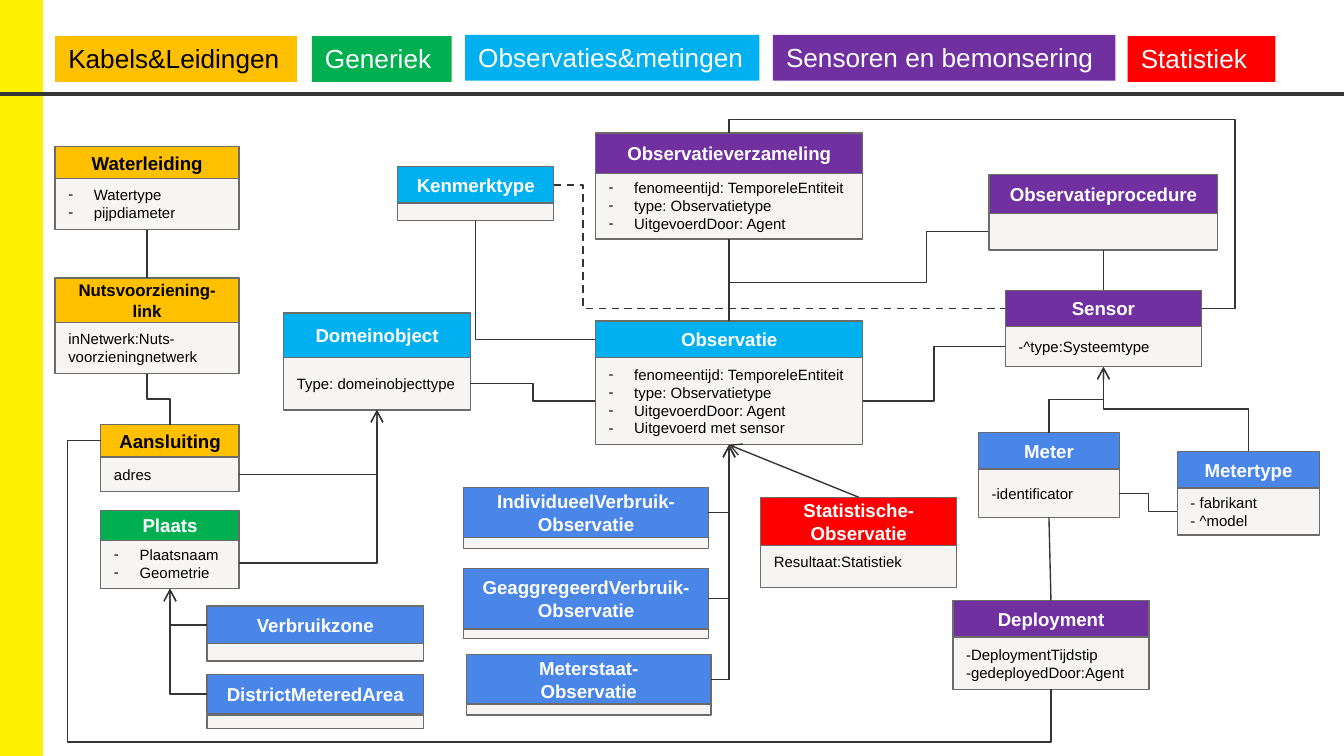
from lxml.etree import SubElement
from pptx import Presentation
from pptx.dml.color import RGBColor
from pptx.enum.dml import MSO_LINE
from pptx.enum.shapes import MSO_CONNECTOR, MSO_SHAPE
from pptx.enum.text import MSO_ANCHOR, PP_ALIGN
from pptx.oxml.ns import qn
from pptx.util import Inches, Pt

# The grid: 1000 columns of square cells on a 16:9 slide
COLS = 1000
ROWS = COLS * 9 / 16
CELL = Inches(10) // COLS

AMBER, GREEN, SKY, PURPLE, RED = "FFC000", "00B050", "00B0F0", "7030A0", "FF0000"
BLUE, YELLOW, PALE = "4A86E8", "FFF200", "F6F5F3"
BLACK, WHITE, GREY, DARK = "000000", "FFFFFF", "6B6B6B", "363535"
TOP, LEFT, LOW, RIGHT = range(4)

# Legend: text, left, top, width, fill
KEYS = [
    ("Kabels&Leidingen", 41, 27, 180, AMBER),
    ("Observaties&metingen", 346, 26, 219, SKY),
    ("Sensoren en bemonsering", 575, 26, 255, PURPLE),
    ("Statistiek", 839, 27, 110, RED),
    ("Generiek", 232, 27, 104, GREEN),
]

TIMES = ["fenomeentijd: TemporeleEntiteit", "type: Observatietype",
         "UitgevoerdDoor: Agent"]

# Classes: key, title, fill, left, width, head (top, height), body (top, height),
# body lines, bullets
NODES = [
    ("water", "Waterleiding", AMBER, 41, 137, (109, 24), (132, 39),
     ["Watertype", "pijpdiameter"], True),
    ("nuts", "Nutsvoorziening-link", AMBER, 41, 137, (207, 33), (239, 39),
     ["inNetwerk:Nuts-voorzieningnetwerk"], False),
    ("plaats", "Plaats", GREEN, 75, 103, (380, 22), (400, 38),
     ["Plaatsnaam", "Geometrie"], True),
    ("join", "Aansluiting", AMBER, 75, 103, (316, 24), (340, 26), ["adres"], False),
    ("domain", "Domeinobject", SKY, 211, 139, (233, 33), (266, 39),
     ["Type: domeinobjecttype"], False),
    ("zone", "Verbruikzone", BLUE, 154, 161, (451, 28), (478, 14), [], False),
    ("area", "DistrictMeteredArea", BLUE, 154, 161, (502, 29), (532, 10), [], False),
    ("obs", "Observatie", SKY, 443, 199, (239, 27), (266, 65),
     TIMES + ["Uitgevoerd met sensor"], True),
    ("set", "Observatieverzameling", PURPLE, 443, 199, (99, 30), (128, 50), TIMES, True),
    ("single", "IndividueelVerbruik-Observatie", BLUE, 345, 182, (363, 37), (393, 15),
     [], False),
    ("group", "GeaggregeerdVerbruik-Observatie", BLUE, 345, 182, (423, 45), (460, 15),
     [], False),
    ("state", "Meterstaat-\nObservatie", BLUE, 347, 182, (487, 37), (517, 15), [], False),
    ("sensor", "Sensor", PURPLE, 748, 146, (216, 27), (243, 30),
     ["-^type:Systeemtype"], False),
    ("proc", "Observatieprocedure", PURPLE, 736, 170, (130, 29), (159, 27), [], False),
    ("meter", "Meter", BLUE, 728, 105, (322, 27), (349, 36), ["-identificator"], False),
    ("type", "Metertype", BLUE, 876, 106, (336, 27), (363, 35),
     ["- fabrikant", "- ^model"], False),
    ("deploy", "Deployment", PURPLE, 709, 146, (447, 27), (474, 39),
     ["-DeploymentTijdstip", "-gedeployedDoor:Agent"], False),
    ("mark", "Kenmerktype", SKY, 296, 116, (124, 27), (151, 13), [], False),
    ("stat", "Statistische-Observatie", RED, 566, 146, (370, 36), (398, 39),
     ["Resultaat:Statistiek"], False),
]

# Straight links: from (class, part, side), to (class, part, side), arrow
STRAIGHT = [
    (("water", "body", LOW), ("nuts", "head", TOP), False),
    (("set", "body", LOW), ("obs", "head", TOP), False),
    (("proc", "body", LOW), ("sensor", "head", TOP), False),
    (("deploy", "head", TOP), ("meter", "body", LOW), False),
    (("stat", "head", TOP), ("obs", "body", LOW), True),
]

# Bent links: from, to, arrow, bends as shares of the span
BENT = [
    (("plaats", "body", RIGHT), ("domain", "body", LOW), True, ()),
    (("join", "body", RIGHT), ("domain", "body", LOW), True, ()),
    (("zone", "head", LEFT), ("plaats", "body", LOW), True, ()),
    (("area", "head", LEFT), ("plaats", "body", LOW), True, ()),
    (("single", "head", RIGHT), ("obs", "body", LOW), True, ()),
    (("group", "head", RIGHT), ("obs", "body", LOW), True, ()),
    (("state", "head", RIGHT), ("obs", "body", LOW), True, ()),
    (("set", "head", TOP), ("sensor", "head", RIGHT), False, (-0.078, 1.071)),
    (("meter", "head", TOP), ("sensor", "body", LOW), True, (0.5,)),
    (("type", "head", TOP), ("sensor", "body", LOW), True, (0.5,)),
    (("meter", "body", RIGHT), ("type", "body", LEFT), False, (0.5,)),
    (("join", "head", TOP), ("nuts", "body", LOW), False, (0.5,)),
    (("deploy", "body", LOW), ("join", "head", LEFT), False, (-0.211, 1.035)),
    (("obs", "head", LEFT), ("mark", "body", LOW), False, ()),
    (("obs", "body", RIGHT), ("sensor", "body", LEFT), False, (0.5,)),
    (("domain", "body", RIGHT), ("obs", "body", LEFT), False, (0.5,)),
]


def paint(tint):
    return RGBColor.from_string(tint)


def rect(slide, x, y, w, h, fill, edge=None, width=0.75):
    spot = (int(n * CELL) for n in (x, y, w, h))
    box = slide.shapes.add_shape(MSO_SHAPE.RECTANGLE, *spot)
    box.shadow.inherit = False
    box.fill.solid()
    box.fill.fore_color.rgb = paint(fill)
    if edge:
        box.line.color.rgb = paint(edge)
        box.line.width = Pt(width)
    else:
        box.line.fill.background()
    return box


def bullet(para):
    props = para._p.get_or_add_pPr()
    props.set("marL", str(19 * CELL))
    props.set("indent", str(-19 * CELL))
    SubElement(SubElement(props, qn("a:buClr")), qn("a:srgbClr")).set("val", BLACK)
    SubElement(props, qn("a:buFont")).set("typeface", "Arial")
    SubElement(props, qn("a:buChar")).set("char", "-")


def write(box, lines, size=8, tint=BLACK, bold=False, align=PP_ALIGN.LEFT,
          anchor=MSO_ANCHOR.MIDDLE, pad=10, dash=False):
    frame = box.text_frame
    frame.word_wrap = True
    frame.vertical_anchor = anchor
    frame.margin_left = frame.margin_right = 10 * CELL
    frame.margin_top = frame.margin_bottom = pad * CELL
    for i, line in enumerate(lines):
        para = frame.add_paragraph() if i else frame.paragraphs[0]
        if dash:
            bullet(para)
        para.alignment = align
        run = para.add_run()
        run.text = line
        font = run.font
        font.name, font.size, font.bold = "Arial", Pt(size), bold
        font.color.rgb = paint(tint)


def node(slide, title, fill, x, w, head, body, lines, dash):
    low = rect(slide, x, body[0], w, body[1], PALE, GREY)
    if lines:
        write(low, lines, dash=dash)
    top = rect(slide, x, head[0], w, head[1], fill, GREY)
    write(top, title.split("\n"), size=9 if title.startswith("Nuts") else 10, bold=True,
          tint=BLACK if fill == AMBER else WHITE, align=PP_ALIGN.CENTER)
    return {"head": top, "body": low}


def style(wire, width=0.75, arrow=False, dash=False):
    wire.line.color.rgb = paint(DARK)
    wire.line.width = Pt(width)
    if dash:
        wire.line.dash_style = MSO_LINE.DASH
    if arrow:
        SubElement(wire.line._get_or_add_ln(), qn("a:tailEnd")).set("type", "arrow")
    SubElement(wire._element.spPr, qn("a:effectLst"))


def link(slide, nodes, start, end, kind=MSO_CONNECTOR.STRAIGHT, **look):
    wire = slide.shapes.add_connector(kind, 0, 0, 0, 0)
    wire.begin_connect(nodes[start[0]][start[1]], start[2])
    wire.end_connect(nodes[end[0]][end[1]], end[2])
    style(wire, **look)
    return wire


def bend(slide, nodes, start, end, shares, **look):
    wire = link(slide, nodes, start, end, MSO_CONNECTOR.ELBOW, **look)
    x, y = wire.begin_x, wire.begin_y
    dx, dy = wire.end_x - x, wire.end_y - y
    w, h = abs(dx), abs(dy)
    # Turn the frame so that its first leg leaves the start side
    if start[2] in (LEFT, RIGHT):
        back = dx < 0 and dy < 0
        turn = 180 if back else 0
        flip = (dx < 0 and not back, dy < 0 and not back)
    else:
        w, h = h, w
        turn = 90 if start[2] == LOW or dx > 0 > dy else 270
        flip = (dy < 0, dx > 0) if turn == 90 else (dy > 0, dx < 0)
    wire.left, wire.top = int(x + (dx - w) / 2), int(y + (dy - h) / 2)
    wire.width, wire.height = w, h
    frame = wire._element.spPr.find(qn("a:xfrm"))
    frame.set("rot", str(turn * 60000))
    for name, on in zip(("flipH", "flipV"), flip):
        frame.set(name, str(int(on)))
    # Set the number of legs and where they break
    shape = wire._element.spPr.find(qn("a:prstGeom"))
    shape.set("prst", f"bentConnector{len(shares) + 2}")
    for i, share in enumerate(shares, 1):
        guide = SubElement(shape.find(qn("a:avLst")), qn("a:gd"))
        guide.set("name", f"adj{i}")
        guide.set("fmla", f"val {round(share * 100000)}")
    return wire


def main():
    deck = Presentation()
    deck.slide_width, deck.slide_height = COLS * CELL, int(ROWS * CELL)
    slide = deck.slides.add_slide(deck.slide_layouts[6])

    # Side bar
    bar = rect(slide, 0, 0, 31, ROWS, YELLOW, YELLOW, 1)

    # Classes
    nodes = {key: node(slide, *rest) for key, *rest in NODES}

    # Links, the first one behind the classes
    under = bend(slide, nodes, ("obs", "body", TOP), ("proc", "body", LEFT),
                 (0.595, 0.759))
    bar._element.addnext(under._element)
    for start, end, arrow in STRAIGHT:
        link(slide, nodes, start, end, arrow=arrow)
    for start, end, arrow, shares in BENT:
        bend(slide, nodes, start, end, shares, arrow=arrow)
    bend(slide, nodes, ("mark", "head", RIGHT), ("sensor", "head", LEFT), (0.065,),
         width=1, dash=True)

    # Legend and rule
    for text, x, y, w, fill in KEYS:
        write(rect(slide, x, y, w, 34, fill), [text], size=14, pad=5,
              anchor=MSO_ANCHOR.TOP, tint=BLACK if fill == AMBER else WHITE)
    rule = slide.shapes.add_connector(MSO_CONNECTOR.STRAIGHT, 0, 70 * CELL,
                                      COLS * CELL, 70 * CELL)
    style(rule, width=2.25)

    deck.save("out.pptx")


if __name__ == "__main__":
    main()
